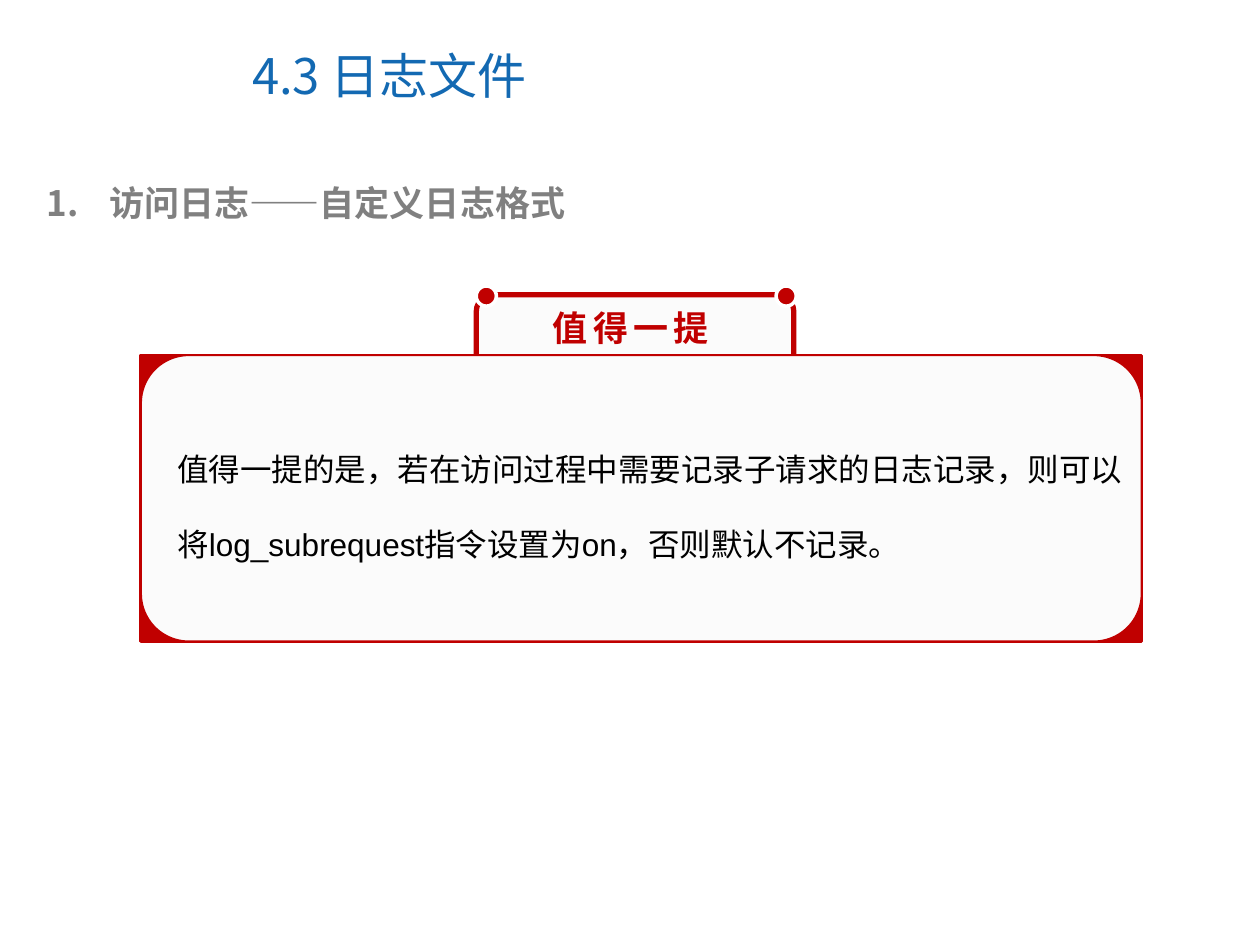
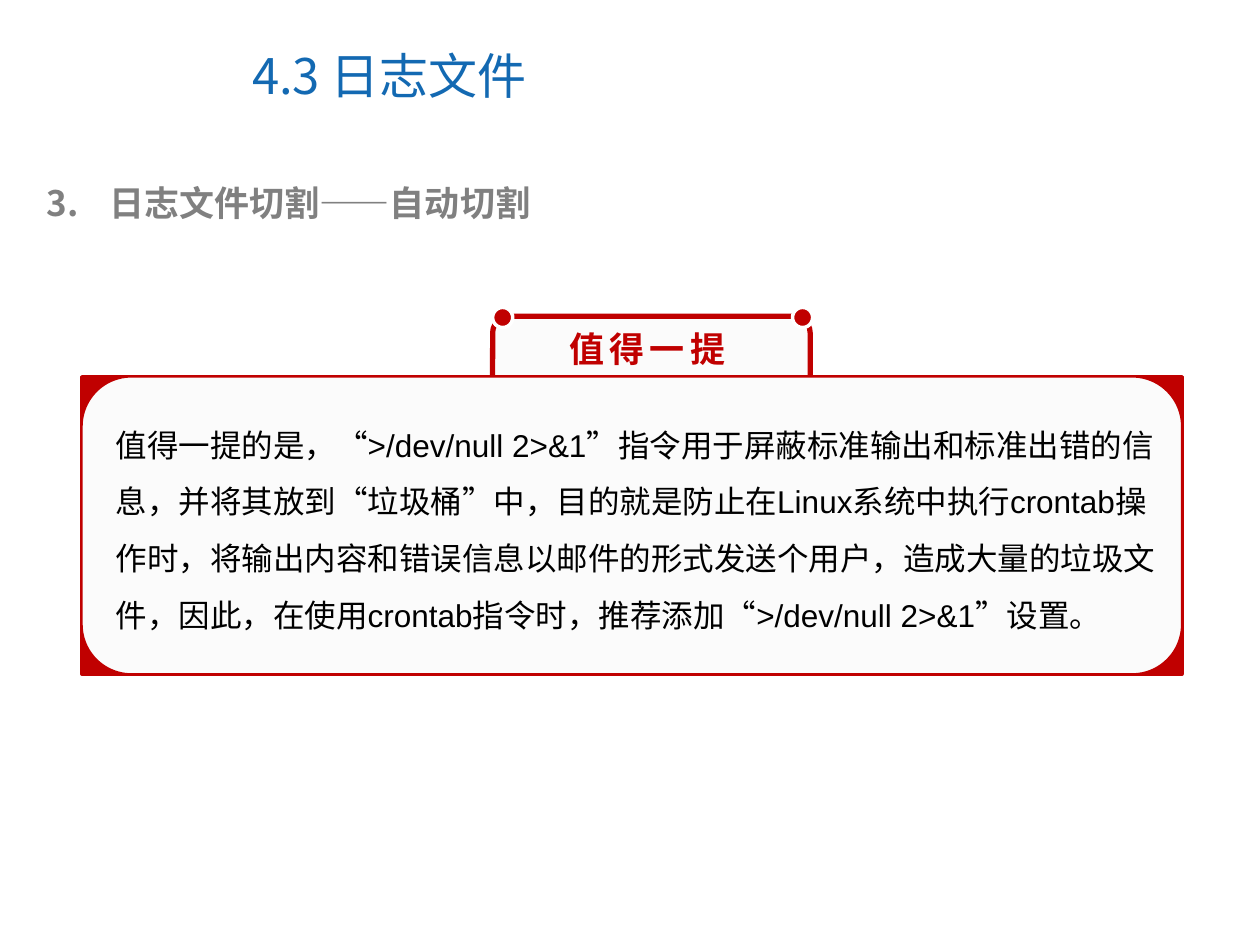
from lxml.etree import SubElement
from pptx import Presentation
from pptx.dml.color import RGBColor
from pptx.enum.shapes import MSO_SHAPE
from pptx.enum.text import MSO_ANCHOR, PP_ALIGN
from pptx.oxml.ns import qn
from pptx.util import Inches, Pt

TITLE = "4.3 日志文件"
TAG = "值得一提"
SLIDES = [
    dict(number=1, heading="访问日志——自定义日志格式",
         box=(1.12, 2.82, 7.94, 2.27), tab_left=3.78,
         note_at=(1.31, 3.22, 7.71, 1.31), spacing=2.0,
         note="值得一提的是，若在访问过程中需要记录子请求的日志记录，"
              "则可以将log_subrequest指令设置为on，否则默认不记录。"),
    dict(number=3, heading="日志文件切割——自动切割",
         box=(0.65, 2.99, 8.73, 2.36), tab_left=3.91,
         note_at=(0.82, 3.18, 8.62, 1.92), spacing=1.5,
         note="值得一提的是，“>/dev/null 2>&1”指令用于屏蔽标准输出和标准出错的信息，"
              "并将其放到“垃圾桶”中，目的就是防止在Linux系统中执行crontab操作时，"
              "将输出内容和错误信息以邮件的形式发送个用户，造成大量的垃圾文件，"
              "因此，在使用crontab指令时，推荐添加“>/dev/null 2>&1”设置。"),
]
CJK, LATIN = "Noto Sans CJK SC", "Arial"
BLUE, GREY, RED, PALE, WHITE, BLACK = (
    "1369B2", "808080", "C00000", "FBFBFB", "FFFFFF", "000000")
TAB_W, TAB_H, TAB_RISE = 2.52, 0.79, 0.48
DOT, DOT_RISE, DOT_STEP = 0.16, 0.55, 2.38


def color(value):
    return RGBColor.from_string(value)


def inches(at):
    return [Inches(v) for v in at]


def write(p, text, size, rgb, font=CJK, bold=False, spacing=None):
    r = p.add_run()
    r.text = text
    r.font.size, r.font.bold, r.font.name = Pt(size), bold, font
    r.font.color.rgb = color(rgb)
    rpr = r.font._element
    SubElement(rpr, qn("a:ea")).set("typeface", CJK)
    if spacing:
        rpr.set("spc", str(spacing * 100))


def add_box(s, kind, at, fill, line, width):
    sp = s.shapes.add_shape(kind, *inches(at))
    sp.shadow.inherit = False
    sp.fill.solid()
    sp.fill.fore_color.rgb = color(fill)
    sp.line.color.rgb = color(line)
    sp.line.width = Pt(width)


def add_paragraph(s, at, wrap=True):
    tf = s.shapes.add_textbox(*inches(at)).text_frame
    tf.word_wrap = wrap
    return tf.paragraphs[0]


def add_title(s):
    sp = s.shapes.title
    sp.left, sp.top, sp.width, sp.height = inches((1.9, 0.17, 5.67, 0.85))
    tf = sp.text_frame
    tf.vertical_anchor = MSO_ANCHOR.MIDDLE
    p = tf.paragraphs[0]
    p.alignment = PP_ALIGN.LEFT
    write(p, TITLE, 28, BLUE)


def add_heading(s, number, text):
    p = add_paragraph(s, (0.27, 1.39, 9.22, 0.44))
    ppr = p._p.get_or_add_pPr()
    ppr.set("marL", str(Inches(0.5)))
    ppr.set("indent", str(-Inches(0.5)))
    bullet = SubElement(ppr, qn("a:buAutoNum"))
    bullet.set("type", "arabicPeriod")
    bullet.set("startAt", str(number))
    write(p, text, 20, GREY, bold=True)


def add_callout(s, box, tab_left):
    top = box[1]
    add_box(s, MSO_SHAPE.ROUNDED_RECTANGLE,
            (tab_left, top - TAB_RISE, TAB_W, TAB_H), PALE, RED, 3)
    add_box(s, MSO_SHAPE.FLOWCHART_PROCESS, box, RED, RED, 2)
    add_box(s, MSO_SHAPE.FLOWCHART_ALTERNATE_PROCESS, box, PALE, RED, 1)
    for i in range(2):
        add_box(s, MSO_SHAPE.OVAL,
                (tab_left + i * DOT_STEP, top - DOT_RISE, DOT, DOT), RED, WHITE, 2)
    p = add_paragraph(s, (tab_left + 0.51, top - 0.44, 1.5, 0.44), wrap=False)
    write(p, TAG, 20, RED, bold=True, spacing=3)


def main():
    prs = Presentation()
    prs.slide_width, prs.slide_height = Inches(10), Inches(7.5)
    for item in SLIDES:
        s = prs.slides.add_slide(prs.slide_layouts[5])
        add_title(s)
        add_heading(s, item["number"], item["heading"])
        add_callout(s, item["box"], item["tab_left"])
        p = add_paragraph(s, item["note_at"])
        p.line_spacing = item["spacing"]
        write(p, item["note"], 18, BLACK, LATIN)
    prs.save("out.pptx")


if __name__ == "__main__":
    main()
